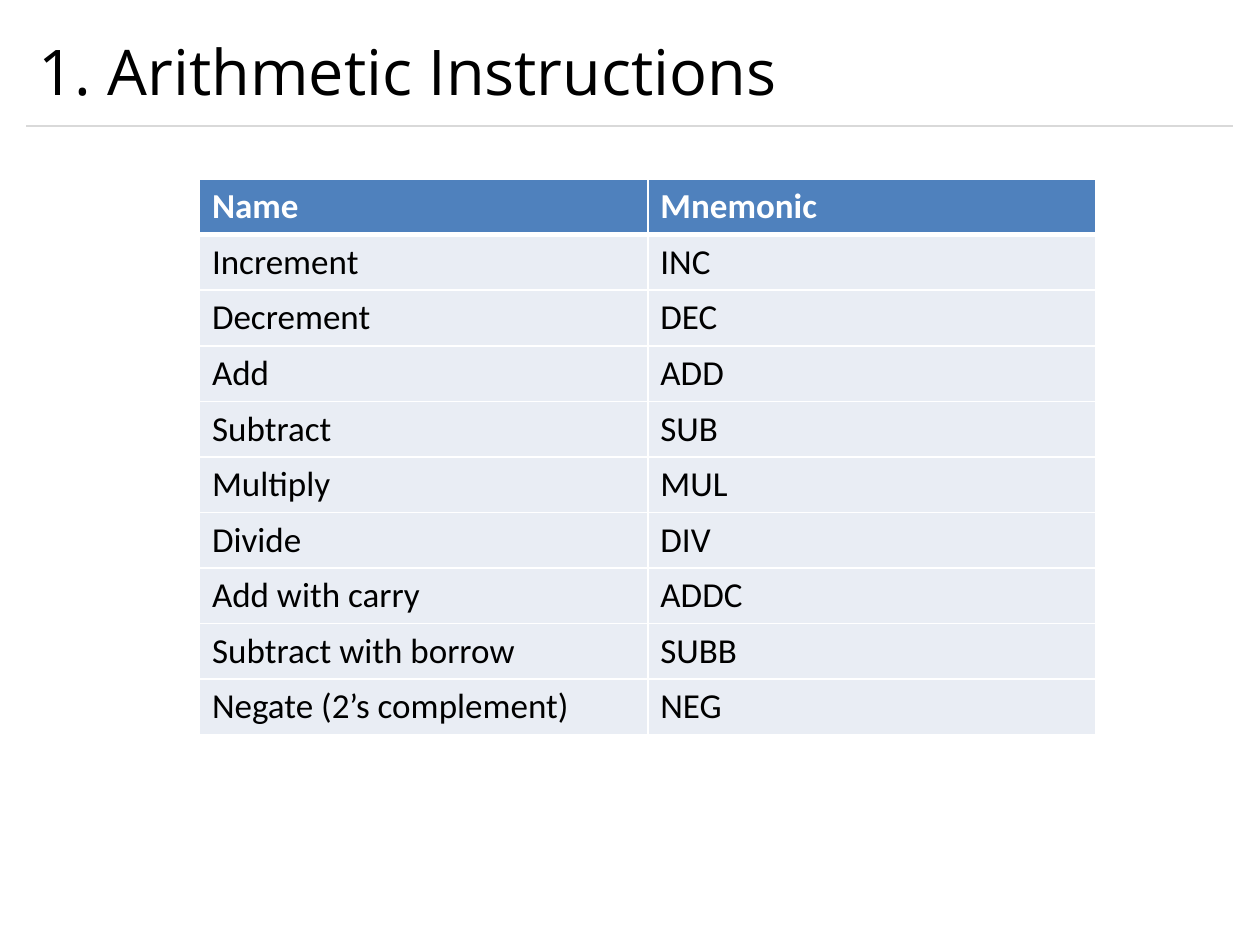
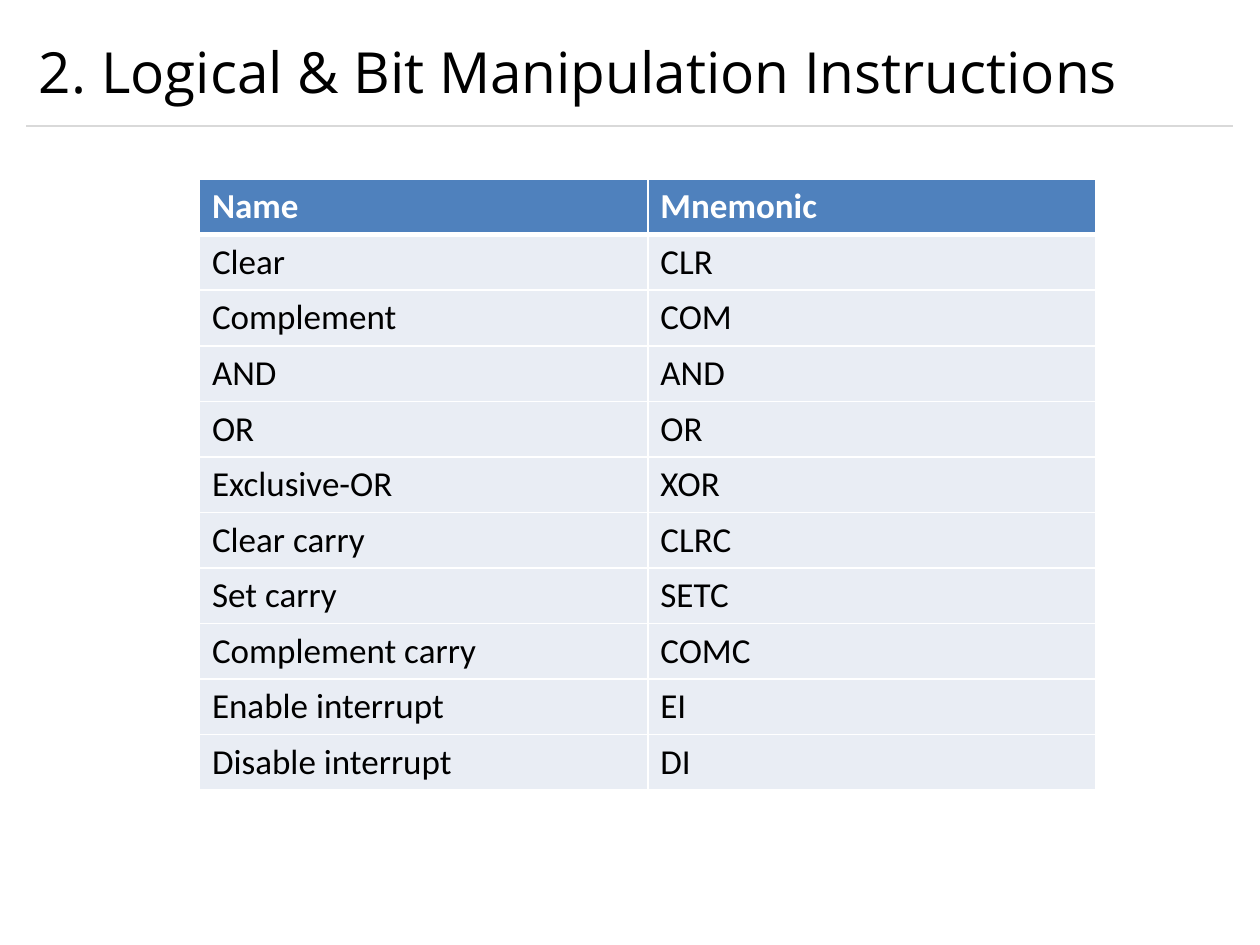
from lxml import etree
from pptx import Presentation
from pptx import util as u
from pptx.dml.color import RGBColor
from pptx.enum import shapes, text
from pptx.oxml.ns import qn

# Shared style
BLACK, WHITE = "000000", "FFFFFF"
RULE_GREY, HEADER_BLUE, ROW_TINT = "D9D9D9", "4F81BD", "E9EDF4"
TITLE_FONT, TABLE_FONT = "Open Sans", "Calibri"
LEFT, CONTENT_WIDTH = u.Cm(0.53), u.Cm(24.33)
TITLE_TOP, TITLE_HEIGHT = u.Cm(0.3), u.Cm(2.24)
TABLE_LEFT, TABLE_TOP = u.Cm(4.02), u.Cm(3.61)
COLUMN_WIDTH, ROW_HEIGHT = u.Cm(9.04), u.Cm(1.12)
THIN, THICK = 1, 3

HEADER = ("Name", "Mnemonic")
ARITHMETIC = [
    ("Increment", "INC"),
    ("Decrement", "DEC"),
    ("Add", "ADD"),
    ("Subtract", "SUB"),
    ("Multiply", "MUL"),
    ("Divide", "DIV"),
    ("Add with carry", "ADDC"),
    ("Subtract with borrow", "SUBB"),
    ("Negate (2’s complement)", "NEG"),
]
LOGICAL = [
    ("Clear", "CLR"),
    ("Complement", "COM"),
    ("AND", "AND"),
    ("OR", "OR"),
    ("Exclusive-OR", "XOR"),
    ("Clear carry", "CLRC"),
    ("Set carry", "SETC"),
    ("Complement carry", "COMC"),
    ("Enable interrupt", "EI"),
    ("Disable interrupt", "DI"),
]


def color(hex_string):
    return RGBColor.from_string(hex_string)


def format_text(paragraph, font_name, size, hex_string, bold=False):
    paragraph.alignment = text.PP_ALIGN.LEFT
    for run in paragraph.runs:
        run.font.name = font_name
        run.font.size = u.Pt(size)
        run.font.bold = bold
        run.font.color.rgb = color(hex_string)


def add_rule(slide):
    """Draw the thin line below the title."""
    y = TITLE_TOP + TITLE_HEIGHT
    rule = slide.shapes.add_connector(
        shapes.MSO_CONNECTOR.STRAIGHT, LEFT, y, LEFT + CONTENT_WIDTH, y)
    rule.line.color.rgb = color(RULE_GREY)
    rule.line.width = u.Pt(0.75)
    etree.SubElement(rule._element.spPr, qn("a:effectLst"))


def set_title(slide, wording, size):
    title = slide.shapes.title
    title.left, title.top = LEFT, TITLE_TOP
    title.width, title.height = CONTENT_WIDTH, TITLE_HEIGHT
    frame = title.text_frame
    frame.text = wording
    frame.word_wrap = True
    frame.auto_size = text.MSO_AUTO_SIZE.NONE
    frame.vertical_anchor = text.MSO_ANCHOR.MIDDLE
    format_text(frame.paragraphs[0], TITLE_FONT, size, BLACK)


def set_borders(cell, top, bottom):
    """Give the cell white borders; top and bottom are widths in points."""
    properties = cell._tc.get_or_add_tcPr()
    for side, width in (("L", THIN), ("R", THIN), ("T", top), ("B", bottom)):
        line = etree.SubElement(properties, qn(f"a:ln{side}"), w=str(u.Pt(width)))
        fill = etree.SubElement(line, qn("a:solidFill"))
        etree.SubElement(fill, qn("a:srgbClr"), val=WHITE)


def add_instruction_table(slide, instructions):
    rows = [HEADER] + instructions
    table = slide.shapes.add_table(
        len(rows), len(HEADER), TABLE_LEFT, TABLE_TOP,
        COLUMN_WIDTH * len(HEADER), ROW_HEIGHT * len(rows)).table
    for row_index, row in enumerate(rows):
        is_header = row_index == 0
        for column_index, wording in enumerate(row):
            cell = table.cell(row_index, column_index)
            cell.text_frame.text = wording
            format_text(cell.text_frame.paragraphs[0], TABLE_FONT, 20,
                        WHITE if is_header else BLACK, bold=is_header)
            # The header is set off by a thick line
            set_borders(cell, top=THICK if row_index == 1 else THIN,
                        bottom=THICK if is_header else THIN)
            cell.fill.solid()
            cell.fill.fore_color.rgb = color(HEADER_BLUE if is_header else ROW_TINT)


def add_instruction_slide(presentation, title, title_size, instructions):
    slide = presentation.slides.add_slide(presentation.slide_layouts[5])
    add_rule(slide)
    set_title(slide, title, title_size)
    add_instruction_table(slide, instructions)


def main():
    presentation = Presentation()
    presentation.slide_width, presentation.slide_height = u.Cm(25.4), u.Cm(19.05)
    add_instruction_slide(presentation, "1. Arithmetic Instructions", 36, ARITHMETIC)
    add_instruction_slide(
        presentation, "2. Logical & Bit Manipulation Instructions", 32.4, LOGICAL)
    presentation.save("out.pptx")


if __name__ == "__main__":
    main()
